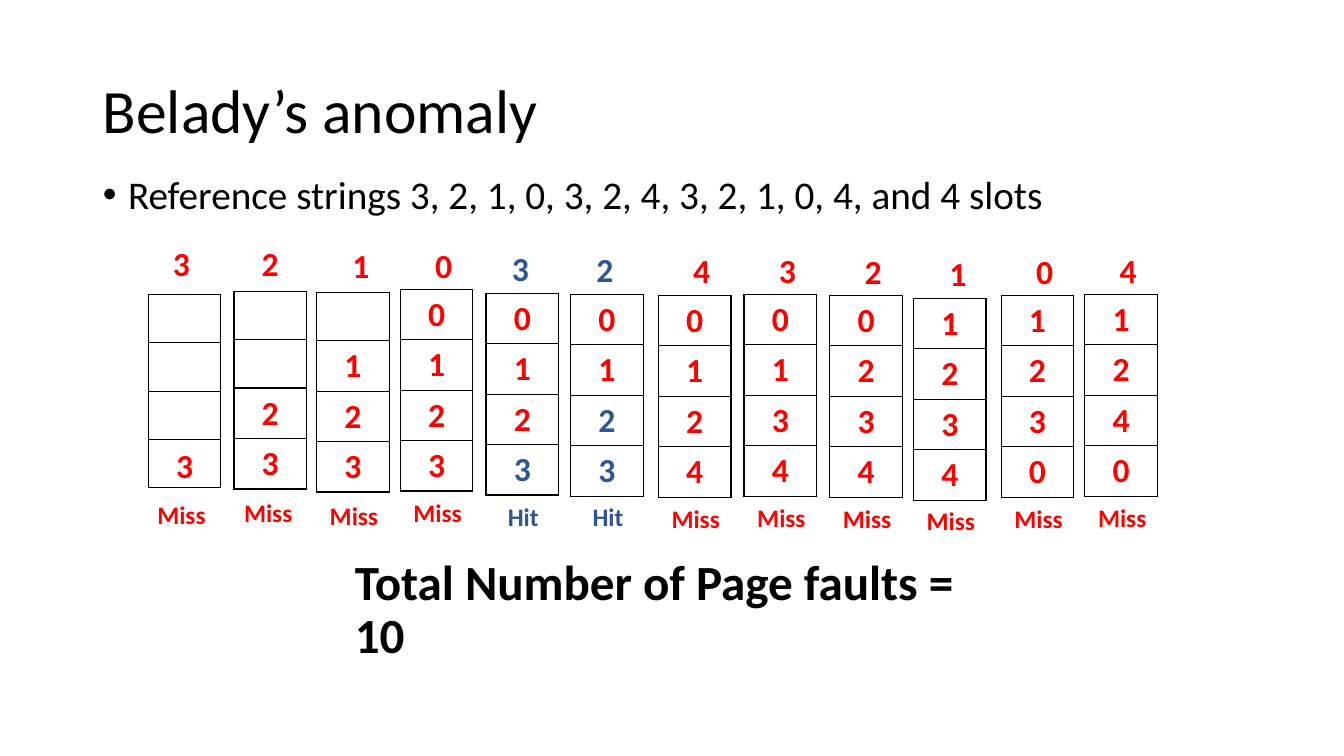
from dataclasses import dataclass

from lxml.etree import SubElement
from pptx import Presentation
from pptx.dml.color import RGBColor
from pptx.enum.text import MSO_ANCHOR as Anchor, MSO_AUTO_SIZE as AutoSize, PP_ALIGN as Align
from pptx.oxml.ns import qn
from pptx.util import Inches, Pt


@dataclass(frozen=True)
class Theme:
    font: str = "Calibri"
    ink: str = "000000"
    miss: str = "FF0000"
    hit: str = "2F5597"
    title: float = 44
    body: float = 28
    total: float = 35.1
    page: float = 24
    result: float = 18


theme = Theme()


def write(frame, text, *, size, color=theme.ink, bold=False, align=Align.LEFT, spacing=None):
    para = frame.paragraphs[0]
    para.alignment = align
    if spacing:
        para.line_spacing = spacing
    span = para.add_run()
    span.text = text
    span.font.name = theme.font
    span.font.size = Pt(size)
    span.font.bold = bold
    span.font.color.rgb = RGBColor.from_string(color)
    return para


def add_box(left, top, width, height, text, **style):
    box = page.shapes.add_textbox(Inches(left), Inches(top), Inches(width), Inches(height))
    box.text_frame.word_wrap = True
    write(box.text_frame, text, **style)
    return box


deck = Presentation()
deck.slide_width, deck.slide_height = Inches(13.33), Inches(7.5)
page = deck.slides.add_slide(deck.slide_layouts[1])

# Title and reference string
title, body = page.placeholders
for holder, top, height in ((title, 0.4, 1.45), (body, 1.69, 1.48)):
    holder.left, holder.top = Inches(0.92), Inches(top)
    holder.width, holder.height = Inches(11.5), Inches(height)
    holder.text_frame.auto_size = AutoSize.NONE
title.text_frame.vertical_anchor = Anchor.MIDDLE
write(title.text_frame, "Belady’s anomaly", size=theme.title, spacing=0.9)
bullet = write(body.text_frame, "Reference strings 3, 2, 1, 0, 3, 2, 4, 3, 2, 1, 0, 4, and 4 slots",
               size=theme.body, spacing=0.9)
bullet.space_before = Pt(10)
bullet_format = bullet._p.get_or_add_pPr()
bullet_format.set("marL", str(Inches(0.25)))
bullet_format.set("indent", str(Inches(-0.25)))
SubElement(bullet_format, qn("a:buFont"), typeface="Arial")
SubElement(bullet_format, qn("a:buChar"), char="•")

# FIFO replacement: page, table left and top, page label left and top, result left and top
SLOTS = 4
references = [
    (3, 1.47, 2.92, 1.46, 2.36, 1.46, 4.90),
    (2, 2.32, 2.89, 2.34, 2.36, 2.32, 4.88),
    (1, 3.14, 2.90, 3.24, 2.38, 3.17, 4.91),
    (0, 3.97, 2.87, 4.06, 2.38, 4.00, 4.88),
    (3, 4.82, 2.91, 4.82, 2.41, 4.85, 4.92),
    (2, 5.66, 2.92, 5.66, 2.42, 5.69, 4.92),
    (4, 6.53, 2.93, 6.62, 2.43, 6.56, 4.94),
    (3, 7.38, 2.92, 7.47, 2.43, 7.41, 4.93),
    (2, 8.23, 2.93, 8.32, 2.44, 8.26, 4.94),
    (1, 9.06, 2.96, 9.16, 2.46, 9.09, 4.96),
    (0, 9.93, 2.93, 10.02, 2.44, 9.96, 4.94),
    (4, 10.76, 2.92, 10.85, 2.43, 10.79, 4.93),
]
slots = [None] * SLOTS
faults = 0
hits = set()  # pages hit since the last fault
for number, left, top, label_left, label_top, result_left, result_top in references:
    if number in slots:
        hits.add(number)
        result, color = "Hit", theme.hit
    else:
        slots[faults % SLOTS] = number
        faults += 1
        hits.clear()
        result, color = "Miss", theme.miss

    grid = page.shapes.add_table(SLOTS, 1, Inches(left), Inches(top),
                                 Inches(0.72), Inches(0.48 * SLOTS)).table
    grid.first_row = grid.horz_banding = False
    for row, stored in enumerate(reversed(slots)):
        cell = grid.cell(row, 0)
        cell_format = cell._tc.get_or_add_tcPr()
        for side in ("lnL", "lnR", "lnT", "lnB"):
            border = SubElement(cell_format, qn(f"a:{side}"), w=str(Pt(1)))
            SubElement(SubElement(border, qn("a:solidFill")), qn("a:srgbClr"), val=theme.ink)
        cell.fill.background()
        # The first page stands in its own box over the grid
        if stored is not None and faults > 1:
            write(cell.text_frame, str(stored), size=theme.page, bold=True, align=Align.CENTER,
                  color=theme.hit if stored in hits else theme.miss)

    add_box(label_left, label_top, 0.68, 0.5, str(number),
            size=theme.page, color=color, bold=True, align=Align.CENTER)
    add_box(result_left, result_top, 0.68, 0.4, result,
            size=theme.result, color=color, bold=True, align=Align.CENTER)

add_box(1.49, 4.36, 0.68, 0.5, str(references[0][0]),
        size=theme.page, color=theme.miss, bold=True, align=Align.CENTER)

total = add_box(3.42, 5.64, 6.48, 0.85, f"Total Number of Page faults = {faults}",
                size=theme.total, bold=True, spacing=0.9)
total.text_frame.vertical_anchor = Anchor.MIDDLE

deck.save("out.pptx")
